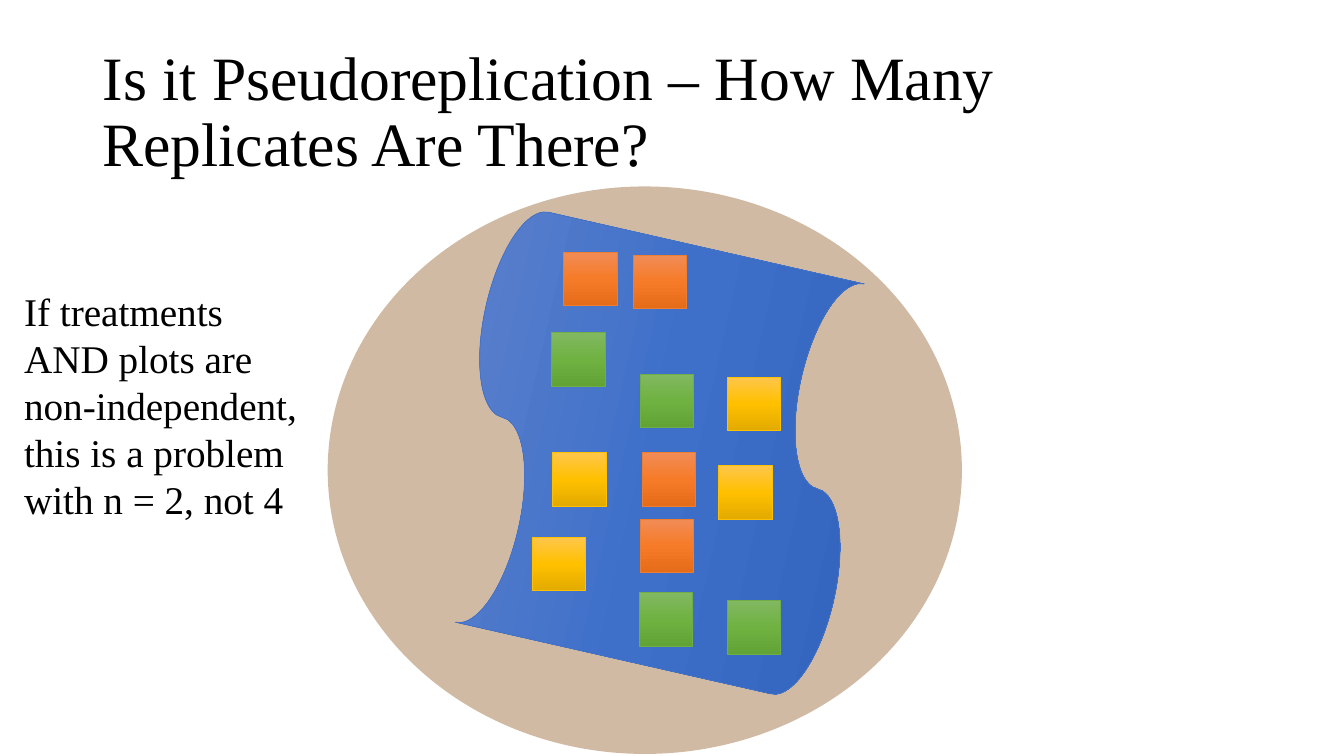
from copy import deepcopy
from lxml.etree import SubElement
from pptx import Presentation
from pptx.dml.color import RGBColor
from pptx.enum.shapes import MSO_SHAPE
from pptx.enum.text import MSO_ANCHOR
from pptx.oxml.ns import qn
from pptx.util import Inches, Pt

COLORS = {
    "text": "000000",
    "site": "996633",
    "blue": ("4472C4", "6183CB", "3E70CA", "3062BB"),
    "orange": ("ED7D31", "F18C57", "F67B28", "E56C19"),
    "green": ("70AD47", "81B861", "6FB242", "62A336"),
    "gold": ("FFC000", "FFC64B", "FFC000", "E3AB00"),
}
PLOT = 0.53
PLOTS = {
    "orange": [(5.59, 2.5), (6.28, 2.53), (6.37, 4.49), (6.35, 5.15)],
    "green": [(5.47, 3.3), (6.35, 3.71), (6.34, 5.88), (7.21, 5.96)],
    "gold": [(7.21, 3.74), (5.48, 4.49), (7.13, 4.62), (5.28, 5.33)],
}

prs = Presentation()
prs.slide_width, prs.slide_height = Inches(13.33), Inches(7.5)
s = prs.slides.add_slide(prs.slide_layouts[6])


def add_area(kind, box, color):
    sp = s.shapes.add_shape(kind, *map(Inches, box))
    sp.shadow.inherit = False
    line, *shades = COLORS[color]
    sp.line.color.rgb = RGBColor.from_string(line)
    sp.line.width = Pt(0.5)
    sp.fill.gradient()
    sp.fill.gradient_angle = 270
    stops = sp._element.spPr.find(qn("a:gradFill")).find(qn("a:gsLst"))
    stops.insert(1, deepcopy(stops[0]))
    for i, (stop, shade) in enumerate(zip(sp.fill.gradient_stops, shades)):
        stop.position = i / 2
        stop.color.rgb = RGBColor.from_string(shade)
    return sp


def add_text(box, text, size, anchor, spacing):
    tf = s.shapes.add_textbox(*map(Inches, box)).text_frame
    tf.word_wrap = True
    tf.vertical_anchor = anchor
    p = tf.paragraphs[0]
    p.text = text
    p.line_spacing = spacing
    p.font.name = "Times New Roman"
    p.font.size = Pt(size)
    p.font.color.rgb = RGBColor.from_string(COLORS["text"])


site = s.shapes.add_shape(MSO_SHAPE.OVAL, *map(Inches, (3.25, 1.85, 6.29, 5.63)))
site.shadow.inherit = False
site.line.fill.background()
site.fill.solid()
site.fill.fore_color.rgb = RGBColor.from_string(COLORS["site"])
site_color = site._element.spPr.find(qn("a:solidFill"))[0]
SubElement(site_color, qn("a:alpha")).set("val", "45000")

field = add_area(MSO_SHAPE.FLOWCHART_PUNCHED_TAPE, (4.46, 2.49, 4.17, 4.01), "blue")
field.rotation = 282.8

for color, corners in PLOTS.items():
    for x, y in corners:
        add_area(MSO_SHAPE.RECTANGLE, (x, y, PLOT, PLOT), color)

add_text((0.92, 0.4, 11.5, 1.45),
         "Is it Pseudoreplication – How Many Replicates Are There?",
         44, MSO_ANCHOR.MIDDLE, 0.9)
add_text((0.14, 2.8, 2.99, 3.4),
         "If treatments AND plots are non-independent, this is a problem with n = 2, not 4",
         28, MSO_ANCHOR.TOP, 1.0)

prs.save("out.pptx")
